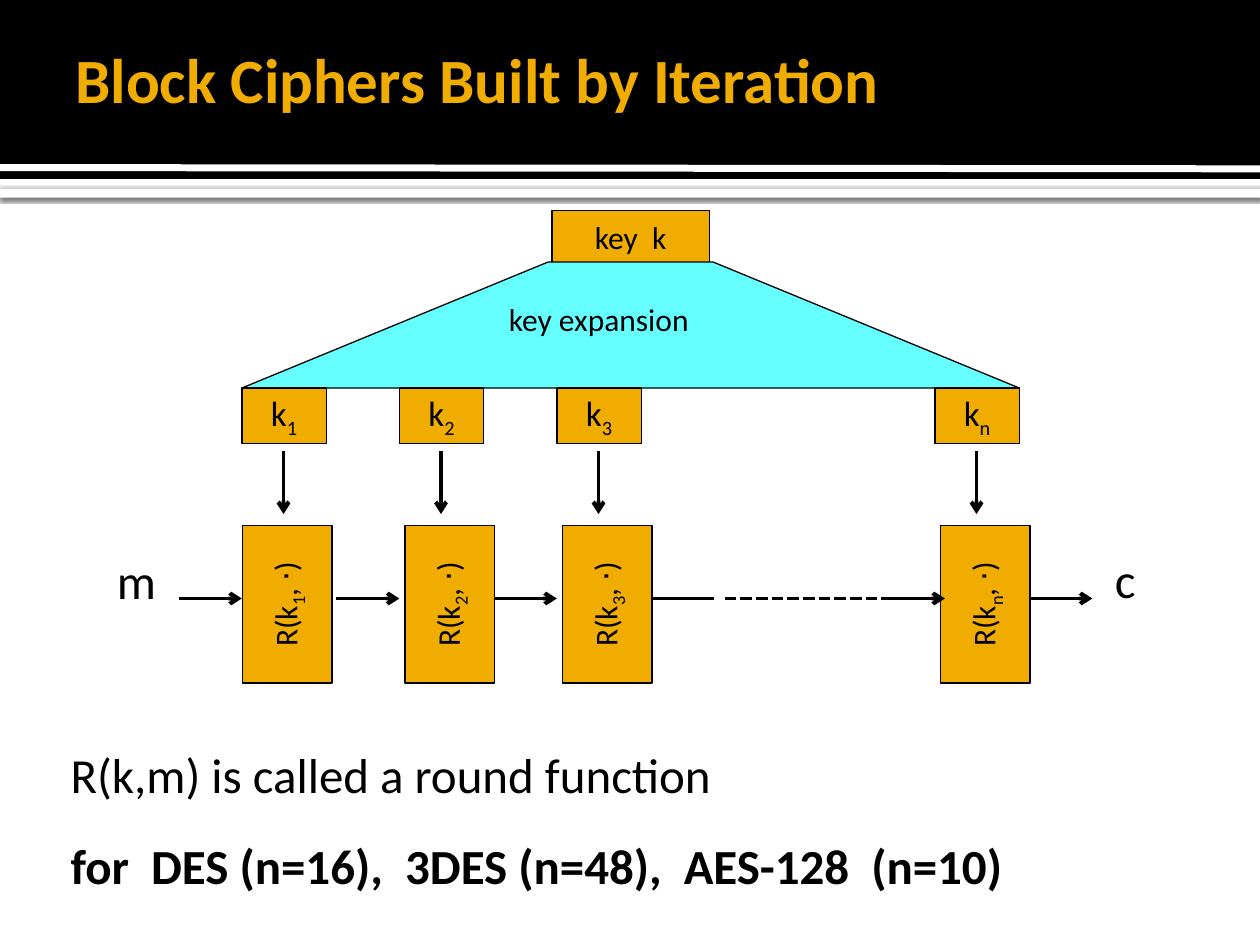
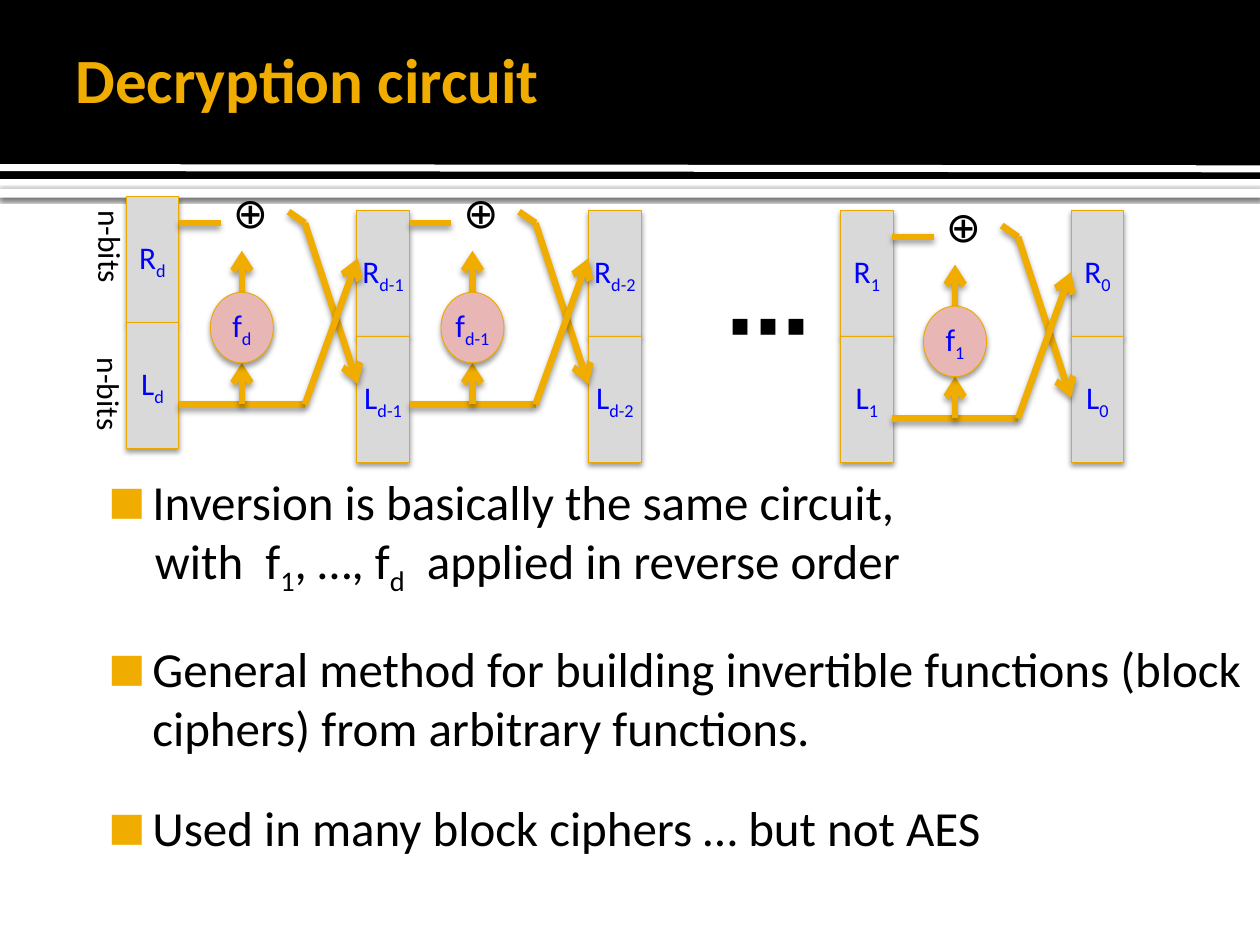
"""Build two slides on block ciphers: rounds by iteration, and the decryption circuit."""
from lxml.etree import SubElement
from pptx import Presentation
from pptx.dml.color import RGBColor
from pptx.enum.dml import MSO_LINE
from pptx.enum.shapes import MSO_CONNECTOR, MSO_SHAPE
from pptx.enum.text import MSO_ANCHOR, PP_ALIGN
from pptx.oxml.ns import qn
from pptx.util import Inches, Pt

WIDE, HIGH = 10, 7.5
FONT = "Calibri"
GOLD, BLACK, WHITE, CYAN = "F0AD00", "000000", "FFFFFF", "66FFFF"
GREY, PINK, BLUE, EDGE = "D9D9D9", "E8B6B5", "0000FF", "EBA900"
BODY_PAD = (0.06, 0.1, 0.1, 0.05)
PAD = (0.1, 0.05, 0.1, 0.05)
SLIM = (0, 0.05, 0, 0.05)
BAND_GLOW, BOX_GLOW, LINE_GLOW = (60, 2.5, 0.8), (38, 3.1, 2), (38, 3.5, 2)

# Text between bars is set as a subscript.
TITLES = ["Block Ciphers Built by Iteration", "Decryption circuit"]
NOTES = [("R(k,m) is called a round function", False),
         ("for  DES (n=16),  3DES (n=48),  AES-128  (n=10)", True)]
POINTS = ["Inversion is basically the same circuit, \n\twith  f|1|, …, f|d|  applied in reverse order",
          "General method for building invertible functions (block ciphers) from arbitrary functions.",
          "Used in many block ciphers … but not AES"]

LEFT, STEP = 1.92, 1.25
ROUNDS = [("1", 0, 0.36), ("2", 1, 0.4), ("3", 2, 0.4), ("n", 4.4, 0.4)]
FLOWS = [(1.42, 0.5, True, False), (2.67, 0.5, True, False), (3.92, 0.5, True, False),
         (5.17, 0.5, False, False), (5.75, 1.25, False, True),
         (7, 0.5, True, False), (8.17, 0.5, True, False)]

HALVES = [("d", 1, 1.56), ("d-1", 2.83, 1.67), ("d-2", 4.67, 1.67),
          ("1", 6.67, 1.67), ("0", 8.5, 1.67)]
STAGES = [("d", 1.42, 1.56), ("d-1", 3.25, 1.56), ("1", 7.08, 1.67)]
WIRES = [(0, 1.65, 1, 1.65, False), (0, 0.21, 0.33, 0.21, False),
         (0.87, 0.12, 1, 0.21, False), (1, 0.21, 1.42, 1.49, True),
         (1, 1.65, 1.42, 0.49, True), (0.5, 1.65, 0.5, 1.32, True),
         (0.5, 0.76, 0.5, 0.43, True)]


def hue(code):
    return RGBColor.from_string(code)


def glow(part, look):
    fx = part._element.spPr.find(qn("a:effectLst"))
    if fx is None:
        fx = SubElement(part._element.spPr, qn("a:effectLst"))
    if look:
        alpha, blur, gap = look
        shade = SubElement(fx, qn("a:outerShdw"), blurRad=str(Pt(blur)), dist=str(Pt(gap)),
                           dir="5400000", rotWithShape="0")
        tint = SubElement(shade, qn("a:srgbClr"), val=BLACK)
        SubElement(tint, qn("a:alpha"), val=str(alpha * 1000))


def write(para, text, size, color=BLACK, bold=False):
    for n, part in enumerate(text.split("|")):
        for row, piece in enumerate(part.split("\n")):
            if row:
                para.add_line_break()
            run = para.add_run()
            run.text = piece
            run.font.name, run.font.size, run.font.bold = FONT, Pt(size), bold
            run.font.color.rgb = hue(color)
            if n % 2:
                run._r.get_or_add_rPr().set("baseline", "-25000")


def frame(part, pad, anchor, wrap=True):
    tf = part.text_frame
    tf.margin_left, tf.margin_top, tf.margin_right, tf.margin_bottom = map(Inches, pad)
    tf.vertical_anchor, tf.word_wrap = anchor, wrap
    return tf


def label(slide, at, text, size, color=BLACK, bold=False, pad=PAD,
          anchor=MSO_ANCHOR.TOP, wrap=False, turn=0):
    part = slide.shapes.add_textbox(*map(Inches, at))
    part.rotation = turn
    write(frame(part, pad, anchor, wrap).paragraphs[0], text, size, color, bold)


def box(slide, at, fill, edge=None, thick=0.75, kind=MSO_SHAPE.RECTANGLE, text="",
        size=18, color=BLACK, pad=PAD, look=None, turn=0):
    part = slide.shapes.add_shape(kind, *map(Inches, at))
    part.rotation = turn
    part.shadow.inherit = False
    part.fill.solid()
    part.fill.fore_color.rgb = hue(fill)
    if edge:
        part.line.color.rgb, part.line.width = hue(edge), Pt(thick)
    else:
        part.line.fill.background()
    glow(part, look)
    if text:
        para = frame(part, pad, MSO_ANCHOR.MIDDLE).paragraphs[0]
        para.alignment = PP_ALIGN.CENTER
        write(para, text, size, color)
    return part


def wire(slide, ends, color=BLACK, thick=2.25, head=False, dash=False, look=None):
    part = slide.shapes.add_connector(MSO_CONNECTOR.STRAIGHT, *map(Inches, ends))
    part.line.color.rgb, part.line.width = hue(color), Pt(thick)
    if dash:
        part.line.dash_style = MSO_LINE.SQUARE_DOT
    if head:
        SubElement(part.line._get_or_add_ln(), qn("a:tailEnd"), type="arrow")
    glow(part, look)


def bullet(para):
    props = para._p.get_or_add_pPr()
    props.set("marL", str(Inches(0.48)))
    props.set("indent", str(Inches(-0.35)))
    tint = SubElement(props, qn("a:buClr"))
    SubElement(tint, qn("a:srgbClr"), val=GOLD)
    SubElement(props, qn("a:buSzPct"), val="80000")
    SubElement(props, qn("a:buFont"), typeface=FONT)
    SubElement(props, qn("a:buChar"), char="■")


def body(slide, at, items, gap, marks=False):
    part = slide.shapes.add_textbox(*map(Inches, at))
    tf = frame(part, BODY_PAD, MSO_ANCHOR.TOP)
    for n, (text, bold) in enumerate(items):
        para = tf.add_paragraph() if n else tf.paragraphs[0]
        if marks:
            bullet(para)
        if n:
            para.space_before = Pt(gap)
        write(para, text, 28, bold=bold)


def start(deck, title):
    slide = deck.slides.add_slide(deck.slide_layouts[6])
    box(slide, (0, 1.5, WIDE, 0.07), WHITE, look=BAND_GLOW)
    box(slide, (0, 0, WIDE, 1.42), BLACK)
    wire(slide, (0, 1.33, WIDE, 1.34), WHITE, 4)
    label(slide, (0.5, 0.08, 8.25, 1.08), title, 36, GOLD, True,
          (0.1, 0.05, 0.05, 0.05), MSO_ANCHOR.MIDDLE, True)
    return slide


def rounds(slide):
    body(slide, (0.5, 5.81, 8.92, 1.5), NOTES, 18.2)
    box(slide, (4.38, 1.67, 1.25, 0.42), GOLD, BLACK, text="key  k")
    fan = box(slide, (LEFT, 2.08, 6.17, 1), CYAN, BLACK, kind=MSO_SHAPE.TRAPEZOID)
    fan.adjustments[0] = 2.43
    label(slide, (3.94, 2.33, 1.68, 0.4), "key expansion", 18)
    for sub, col, mid in ROUNDS:
        x = LEFT + col * STEP
        box(slide, (x, 3.08, 0.67, 0.44), GOLD, BLACK, text=f"k|{sub}|", size=20)
        box(slide, (x + mid - STEP / 2, 4.44, STEP, 0.71), GOLD, BLACK,
            text=f"R(k|{sub}|, ⋅)", turn=270)
        wire(slide, (x + 0.33, 3.58, x + 0.33, 4.08), head=True)
    for x, run, head, dash in FLOWS:
        wire(slide, (x, 4.75, x + run, 4.75), head=head, dash=dash)
    label(slide, (0.83, 4.32, 0.53, 0.57), "m", 28)
    label(slide, (8.75, 4.31, 0.42, 0.57), "c", 28)


def circuit(slide):
    body(slide, (0.67, 3.64, 9.33, 3.86), [(text, False) for text in POINTS], 23.8, True)
    cell = dict(edge=EDGE, thick=0.5, color=BLUE, pad=SLIM, look=BOX_GLOW)
    for sub, x, y in HALVES:
        for row, name in enumerate("RL"):
            box(slide, (x, y + row, 0.42, 1), GREY, text=f"{name}|{sub}|", **cell)
    for x, y in [(0.48, 1.77), (0.47, 2.94)]:
        label(slide, (x, y, 0.8, 0.4), "n-bits", 18, turn=90)
    for sub, x, y in STAGES:
        label(slide, (x + 0.33, y - 0.13, 0.54, 0.5), "⊕", 24)
        for x1, y1, x2, y2, head in WIRES:
            wire(slide, (x + x1, y + y1, x + x2, y + y2), GOLD, 3.78, head, look=LINE_GLOW)
        box(slide, (x + 0.25, y + 0.76, 0.5, 0.56), PINK, kind=MSO_SHAPE.OVAL,
            text=f"f|{sub}|", **cell)
    label(slide, (5.67, 2.11, 0.77, 0.91), "⋯", 48, bold=True)


def main():
    deck = Presentation()
    deck.slide_width, deck.slide_height = Inches(WIDE), Inches(HIGH)
    for title, draw in zip(TITLES, (rounds, circuit)):
        draw(start(deck, title))
    deck.save("out.pptx")


if __name__ == "__main__":
    main()
